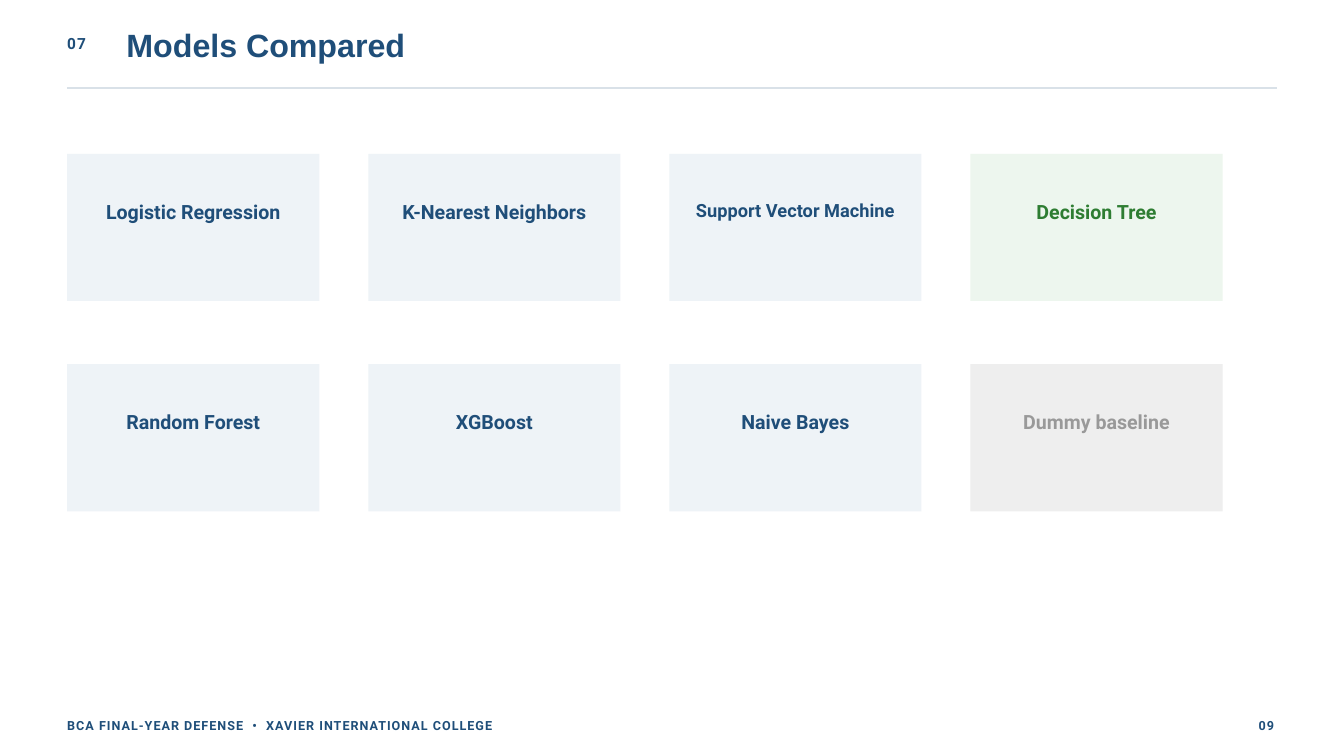
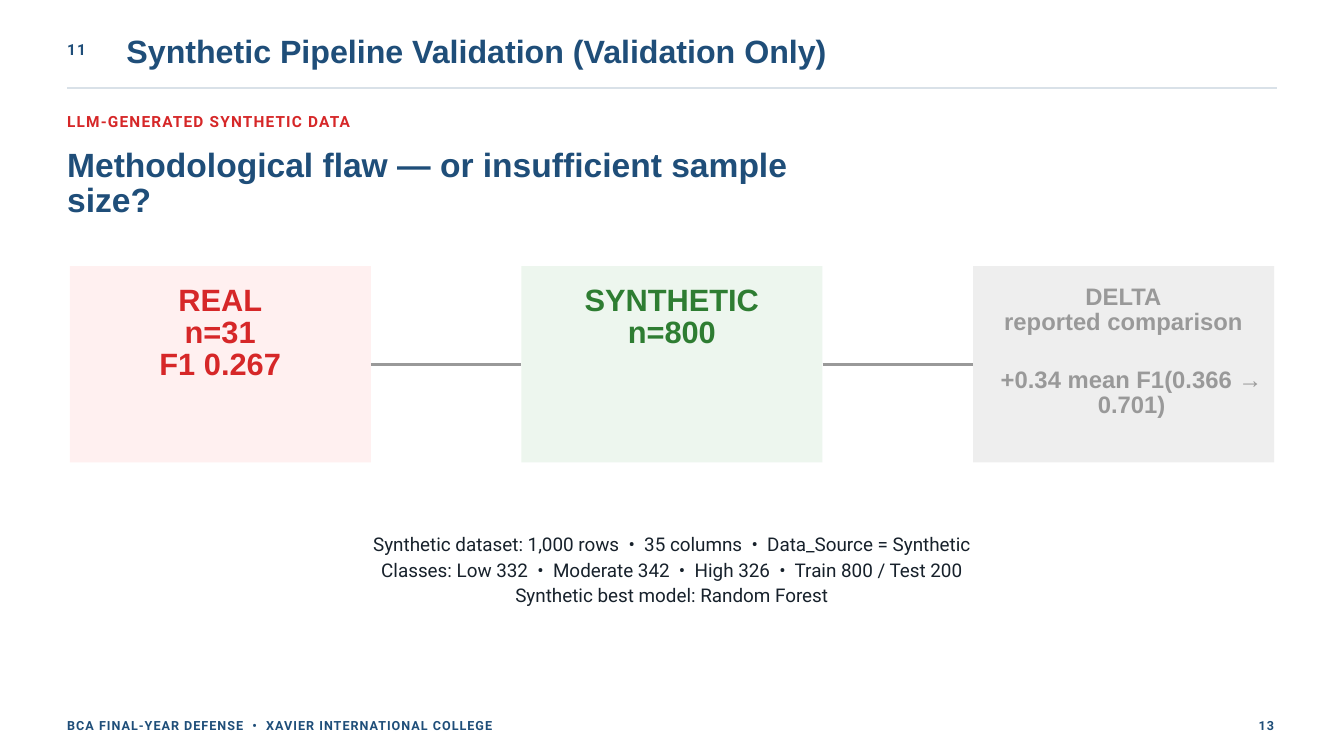
from dataclasses import dataclass

from lxml import etree
from pptx import Presentation
from pptx.dml.color import RGBColor
from pptx.enum.shapes import MSO_CONNECTOR, MSO_SHAPE
from pptx.enum.text import MSO_ANCHOR, MSO_AUTO_SIZE, PP_ALIGN
from pptx.oxml.ns import qn
from pptx.util import Cm, Pt

LEFT, CENTER, RIGHT = PP_ALIGN.LEFT, PP_ALIGN.CENTER, PP_ALIGN.RIGHT
RECTANGLE = MSO_SHAPE.RECTANGLE
STRAIGHT = MSO_CONNECTOR.STRAIGHT
TITLE_AND_BODY, TITLE_ONLY = 1, 5


@dataclass(frozen=True)
class TextStyle:
    font: str
    size: float
    leading: float  # line height as a multiple of the size
    bold: bool = True
    tracking: int = 0  # hundredths of a point


class Theme:
    navy, red, green, gray, ink = "1F4E79", "D62728", "2E7D32", "999999", "17212B"
    rule = "D9E1E8"
    pale_blue, pale_red, pale_green, pale_gray = "EEF3F7", "FFF0F0", "EDF6EE", "EEEEEE"

    title = TextStyle("Arial", 34.5, 1.05)
    question = TextStyle("Arial", 36, 1.05)
    stage = TextStyle("Arial", 33, 1.05)
    delta = TextStyle("Arial", 25.5, 1.05)
    kicker = TextStyle("Roboto", 16.5, 1.4, tracking=130)
    footer = TextStyle("Roboto", 13.5, 1.4, tracking=110)
    model = TextStyle("Roboto", 21, 1.35)
    long_model = TextStyle("Roboto", 19.5, 1.35)
    facts = TextStyle("Roboto", 20.2, 1.35, bold=False)


FOOTER = "BCA FINAL-YEAR DEFENSE  •  XAVIER INTERNATIONAL COLLEGE"

MODELS_HEADER = {"section": "07", "title": "Models Compared", "page": "09", "top": 1.14}
BLUE_CARD = (Theme.navy, Theme.pale_blue)
MODELS = [
    ("Logistic Regression", Theme.model, *BLUE_CARD),
    ("K-Nearest Neighbors", Theme.model, *BLUE_CARD),
    ("Support Vector Machine", Theme.long_model, *BLUE_CARD),
    ("Decision Tree", Theme.model, Theme.green, Theme.pale_green),
    ("Random Forest", Theme.model, *BLUE_CARD),
    ("XGBoost", Theme.model, *BLUE_CARD),
    ("Naive Bayes", Theme.model, *BLUE_CARD),
    ("Dummy baseline", Theme.model, Theme.gray, Theme.pale_gray),
]

PIPELINE_HEADER = {
    "section": "11",
    "title": "Synthetic Pipeline Validation (Validation Only)",
    "page": "13",
    "top": 1.37,
}
KICKER = "LLM-GENERATED SYNTHETIC DATA"
QUESTION = "Methodological flaw — or insufficient sample size?"
STAGES = [
    (["REAL", "n=31", "F1 0.267"], Theme.stage, Theme.red, Theme.pale_red),
    (["SYNTHETIC", "n=800"], Theme.stage, Theme.green, Theme.pale_green),
    (["DELTA", "reported comparison"], Theme.delta, Theme.gray, Theme.pale_gray),
]
DELTA_RESULT = "+0.34 mean F1(0.366 → 0.701)"
DATASET_FACTS = [
    "Synthetic dataset: 1,000 rows  •  35 columns  •  Data_Source = Synthetic",
    "Classes: Low 332  •  Moderate 342  •  High 326  •  Train 800 / Test 200",
    "Synthetic best model: Random Forest",
]

# All lengths below are centimetres.
SLIDE_WIDTH, SLIDE_HEIGHT = 50.8, 28.58
MARGIN = 2.54
RULE_TOP = 3.33
FOOTER_TOP = 27.05
CARD_COLUMNS = 4
CARD_TOP, CARD_WIDTH, CARD_HEIGHT = 5.82, 9.53, 5.56
CARD_PITCH_X, CARD_PITCH_Y = 11.38, 7.95
STAGE_LEFT, STAGE_TOP, STAGE_WIDTH, STAGE_HEIGHT = 2.64, 10.06, 11.38, 7.42
STAGE_PITCH = 17.07
STAGE_TEXT_WIDTH = 10.31


def write(shape, lines, style, color, alignment=LEFT):
    """Fill a text shape, one paragraph per line, with no insets or bullets."""
    frame = shape.text_frame
    frame.word_wrap = True
    frame.auto_size = MSO_AUTO_SIZE.NONE
    frame.vertical_anchor = MSO_ANCHOR.TOP
    frame.margin_left = frame.margin_right = frame.margin_top = frame.margin_bottom = 0
    frame.text = "\n".join(lines)
    for paragraph in frame.paragraphs:
        paragraph.alignment = alignment
        paragraph.line_spacing = Pt(round(style.size * style.leading, 1))
        paragraph.space_before = Pt(0)
        properties = paragraph._p.get_or_add_pPr()
        properties.set("marL", "0")
        properties.set("indent", "0")
        etree.SubElement(properties, qn("a:buNone"))
        font = paragraph.font
        font.name, font.size, font.bold = style.font, Pt(style.size), style.bold
        font.color.rgb = RGBColor.from_string(color)
        if style.tracking:
            properties.find(qn("a:defRPr")).set("spc", str(style.tracking))


def place(shape, left, top, width, height):
    shape.left, shape.top = Cm(left), Cm(top)
    shape.width, shape.height = Cm(width), Cm(height)


def add_text(slide, box, lines, style, color, alignment=LEFT):
    shape = slide.shapes.add_textbox(*map(Cm, box))
    write(shape, lines, style, color, alignment)


def add_panel(slide, box, fill):
    shape = slide.shapes.add_shape(RECTANGLE, *map(Cm, box))
    shape.shadow.inherit = False
    shape.fill.solid()
    shape.fill.fore_color.rgb = RGBColor.from_string(fill)
    shape.line.fill.background()


def add_horizontal_line(slide, start, end, top, color, weight):
    line = slide.shapes.add_connector(STRAIGHT, Cm(start), Cm(top), Cm(end), Cm(top))
    line.line.color.rgb = RGBColor.from_string(color)
    line.line.width = Pt(weight)
    etree.SubElement(line._element.spPr, qn("a:effectLst"))


def add_framed_slide(presentation, layout, section, title, page, top):
    """Add a slide with the shared header, rule and footer."""
    slide = presentation.slides.add_slide(presentation.slide_layouts[layout])
    place(slide.shapes.title, 4.78, top, 39.67, 1.4)
    write(slide.shapes.title, [title], Theme.title, Theme.navy)
    add_text(slide, (MARGIN, top + 0.03, 2.11, 0.76), [section], Theme.kicker, Theme.navy)
    add_horizontal_line(slide, MARGIN, SLIDE_WIDTH - MARGIN, RULE_TOP, Theme.rule, 2)
    add_text(slide, (MARGIN, FOOTER_TOP, 38.35, 0.64), [FOOTER], Theme.footer, Theme.navy)
    add_text(slide, (45.77, FOOTER_TOP, 2.39, 0.64), [page], Theme.footer, Theme.navy, RIGHT)
    return slide


def build_models_slide(presentation):
    slide = add_framed_slide(presentation, TITLE_ONLY, **MODELS_HEADER)
    for index, (name, style, color, fill) in enumerate(MODELS):
        row, column = divmod(index, CARD_COLUMNS)
        left = MARGIN + column * CARD_PITCH_X
        top = CARD_TOP + row * CARD_PITCH_Y
        add_panel(slide, (left, top, CARD_WIDTH, CARD_HEIGHT), fill)
        label_box = (left + 0.92, top + 1.63, CARD_WIDTH - 1.84, 0.97)
        add_text(slide, label_box, [name], style, color, CENTER)


def build_pipeline_slide(presentation):
    slide = add_framed_slide(presentation, TITLE_AND_BODY, **PIPELINE_HEADER)
    add_text(slide, (MARGIN, 4.11, 17.2, 0.79), [KICKER], Theme.kicker, Theme.red)
    add_text(slide, (MARGIN, 5.64, 27.79, 2.77), [QUESTION], Theme.question, Theme.navy)

    for index, (lines, style, color, fill) in enumerate(STAGES):
        left = STAGE_LEFT + index * STAGE_PITCH
        add_panel(slide, (left, STAGE_TOP, STAGE_WIDTH, STAGE_HEIGHT), fill)
        if index:
            add_horizontal_line(slide, left - STAGE_PITCH + STAGE_WIDTH, left,
                                STAGE_TOP + STAGE_HEIGHT / 2, Theme.gray, 3)
        height = len(lines) * 1.26
        text_box = (left + 0.53, STAGE_TOP + 0.72, STAGE_TEXT_WIDTH, height)
        add_text(slide, text_box, lines, style, color, CENTER)
    result_box = (left + 0.84, STAGE_TOP + 3.88, STAGE_TEXT_WIDTH, 1.9)
    add_text(slide, result_box, [DELTA_RESULT], Theme.delta, Theme.gray, CENTER)

    facts = slide.placeholders[1]
    place(facts, 5.28, 20.04, 40.21, 2.82)
    write(facts, DATASET_FACTS, Theme.facts, Theme.ink, CENTER)


def main():
    presentation = Presentation()
    presentation.slide_width, presentation.slide_height = Cm(SLIDE_WIDTH), Cm(SLIDE_HEIGHT)
    build_models_slide(presentation)
    build_pipeline_slide(presentation)
    presentation.save("out.pptx")


if __name__ == "__main__":
    main()
